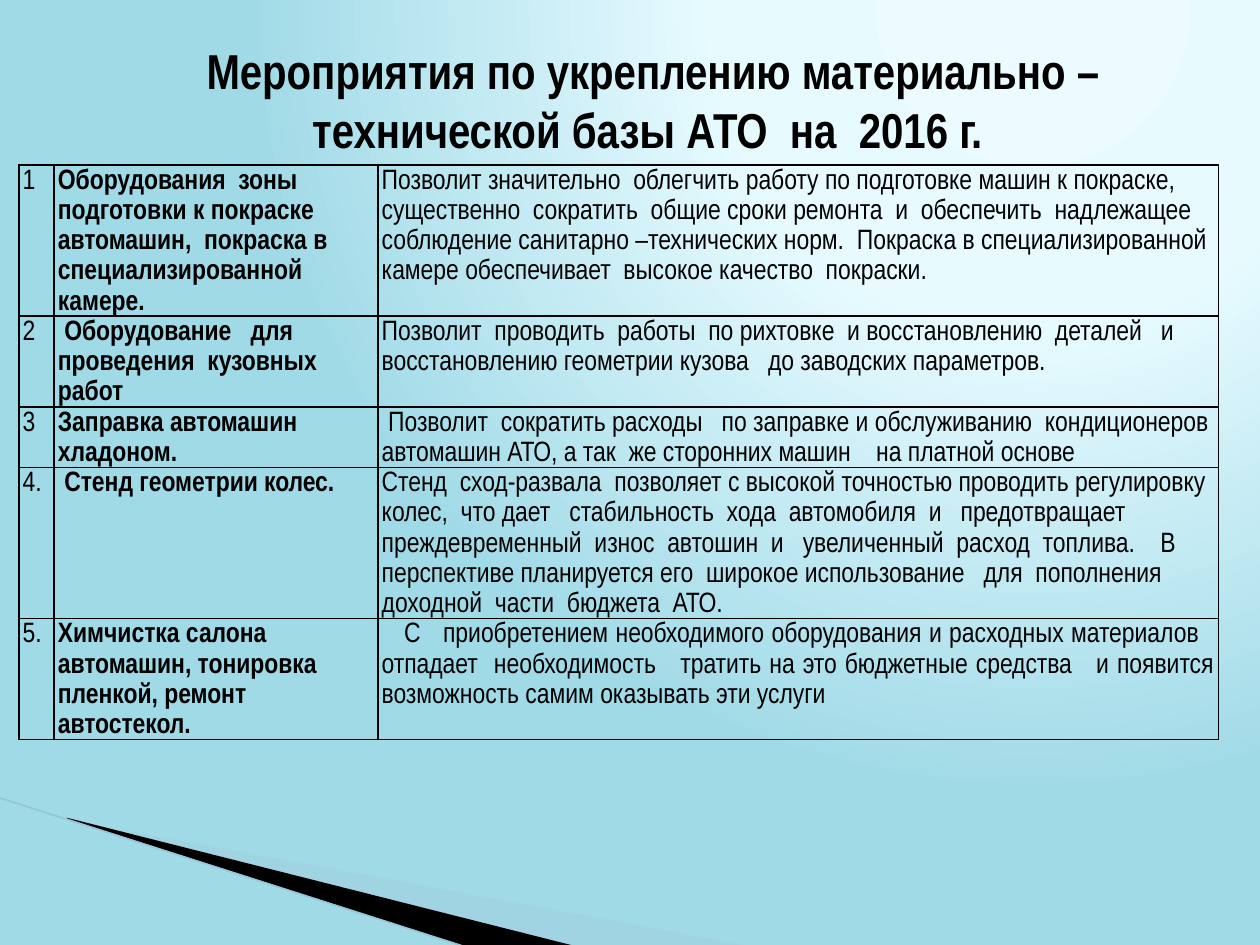
import pptx
import pptx.oxml
import pptx.util
import pptx.oxml.ns
import pptx.dml.color
import pptx.enum.text
import pptx.enum.shapes
from lxml import etree

Inches = pptx.util.Inches
Pt = pptx.util.Pt
ALIGN = pptx.enum.text.PP_ALIGN
FONT = "Arial Narrow"
COLORS = {
    "text": "000000", "band": "000000", "pale": "A0CBDC", "line": "97C5D8",
    "light": "EBFBFF", "middle": "E7FBFF", "edge": "A1DAE7",
}
TITLE = "Мероприятия по укреплению материально –технической базы АТО  на  2016 г. "
COLS = [0.28, 2.57, 6.67]
LINES = [5, 3, 2, 5, 4]
PITCH = 0.24
ROWS = [
    ("1",
     "Оборудования  зоны  подготовки к покраске автомашин,  покраска в специализированной камере.",
     "Позволит значительно  облегчить работу по подготовке машин к покраске,   существенно  сократить  "
     "общие сроки ремонта  и  обеспечить  надлежащее соблюдение санитарно –технических норм.  "
     "Покраска в специализированной камере обеспечивает  высокое качество  покраски."),
    ("2",
     " Оборудование   для    проведения  кузовных  работ",
     "Позволит  проводить  работы  по рихтовке  и восстановлению  деталей   и   "
     "восстановлению геометрии кузова   до заводских параметров."),
    ("3",
     "Заправка автомашин хладоном.",
     " Позволит  сократить расходы   по заправке и обслуживанию  кондиционеров "
     "автомашин АТО, а так  же сторонних машин    на платной основе"),
    ("4.",
     " Стенд геометрии колес.",
     "Стенд  сход-развала  позволяет с высокой точностью проводить регулировку колес,  что дает   "
     "стабильность  хода  автомобиля  и   предотвращает   преждевременный  износ  автошин  и   "
     "увеличенный  расход  топлива.    В   перспективе планируется его  широкое использование   "
     "для  пополнения  доходной  части  бюджета  АТО."),
    ("5.",
     "Химчистка салона автомашин, тонировка пленкой, ремонт  автостекол.",
     "   С   приобретением необходимого оборудования и расходных материалов   отпадает  "
     "необходимость   тратить на это бюджетные средства   и появится возможность самим "
     "оказывать эти услуги"),
]


def rgb(name):
    return pptx.dml.color.RGBColor.from_string(COLORS[name])


def add_child(parent, tag, **attrs):
    return etree.SubElement(parent, pptx.oxml.ns.qn(tag), attrs)


def paint_back(slide):
    fill = slide.background.fill
    fill.gradient()
    grad = slide.element.find(".//" + pptx.oxml.ns.qn("a:gradFill"))
    for child in list(grad):
        grad.remove(child)
    stops = add_child(grad, "a:gsLst")
    for pos, name in ((0, "light"), (40, "middle"), (100, "edge")):
        stop = add_child(stops, "a:gs", pos=str(pos * 1000))
        add_child(stop, "a:srgbClr", val=COLORS[name])
    route = add_child(grad, "a:path", path="circle")
    add_child(route, "a:fillToRect", l="65000", t="0", r="0", b="98000")


def add_free(slide, points, color, alpha=None):
    pen = slide.shapes.build_freeform(
        Inches(points[0][0]), Inches(points[0][1]))
    pen.add_line_segments([(Inches(x), Inches(y)) for x, y in points[1:]])
    shape = pen.convert_to_shape()
    shape.shadow.inherit = False
    shape.fill.solid()
    shape.fill.fore_color.rgb = rgb(color)
    shape.line.fill.background()
    if alpha:
        tone = shape.element.spPr.find(".//" + pptx.oxml.ns.qn("a:srgbClr"))
        add_child(tone, "a:alpha", val=str(alpha * 1000))


def add_line(slide, start, end):
    line = slide.shapes.add_connector(
        pptx.enum.shapes.MSO_CONNECTOR.STRAIGHT,
        *[Inches(value) for value in start + end])
    line.line.color.rgb = rgb("line")
    line.line.width = Pt(0.95)
    add_child(line.element.spPr, "a:effectLst")


def add_run(para, text, size, bold):
    run = para.add_run()
    run.text = text
    font = run.font
    font.name, font.size, font.bold = FONT, Pt(size), bold
    font.color.rgb = rgb("text")


def add_title(slide):
    box = slide.shapes.add_textbox(
        Inches(0.69), Inches(0.27), Inches(8.98), Inches(1.04))
    frame = box.text_frame
    frame.word_wrap = True
    frame.auto_size = pptx.enum.text.MSO_AUTO_SIZE.SHAPE_TO_FIT_TEXT
    para = frame.paragraphs[0]
    para.alignment = ALIGN.CENTER
    add_run(para, TITLE, 28, True)


def add_edges(cell):
    props = cell._tc.get_or_add_tcPr()
    for place, side in enumerate(("a:lnL", "a:lnR", "a:lnT", "a:lnB")):
        edge = add_child(props, side, w=str(Pt(1)))
        paint = add_child(edge, "a:solidFill")
        add_child(paint, "a:srgbClr", val=COLORS["text"])
        props.insert(place, edge)


def fill_cell(cell, text, bold, align):
    cell.margin_left = cell.margin_right = Inches(0.03)
    cell.margin_top = cell.margin_bottom = 0
    cell.fill.background()
    add_edges(cell)
    para = cell.text_frame.paragraphs[0]
    para.alignment = align
    para.line_spacing = 1.15
    para.space_after = Pt(10)
    add_run(para, text, 16, bold)


def add_grid(slide):
    grid = slide.shapes.add_table(
        len(ROWS), len(COLS), Inches(0.15), Inches(1.31),
        Inches(sum(COLS)), Inches(sum(LINES) * PITCH)).table
    grid.first_row = grid.horz_banding = False
    for col, width in zip(grid.columns, COLS):
        col.width = Inches(width)
    for row, count in zip(grid.rows, LINES):
        row.height = Inches(count * PITCH)
    for r, texts in enumerate(ROWS):
        for c, text in enumerate(texts):
            last = r == len(ROWS) - 1 and c == 2
            fill_cell(grid.cell(r, c), text, c == 1,
                      ALIGN.JUSTIFY if last else ALIGN.LEFT)


def main():
    deck = pptx.Presentation()
    deck.slide_width, deck.slide_height = Inches(10), Inches(7.5)
    slide = deck.slides.add_slide(deck.slide_layouts[6])
    paint_back(slide)
    add_free(slide, [(0.55, 6.51), (5.95, 7.51), (4.56, 7.51), (0.55, 6.5)],
             "pale", 40)
    add_free(slide, [(0.53, 6.49), (4.57, 7.51), (3.72, 7.52), (0.54, 6.5)],
             "band")
    add_line(slide, (-0.01, 6.33), (3.71, 7.52))
    add_grid(slide)
    add_title(slide)
    deck.save("out.pptx")


if __name__ == "__main__":
    main()
